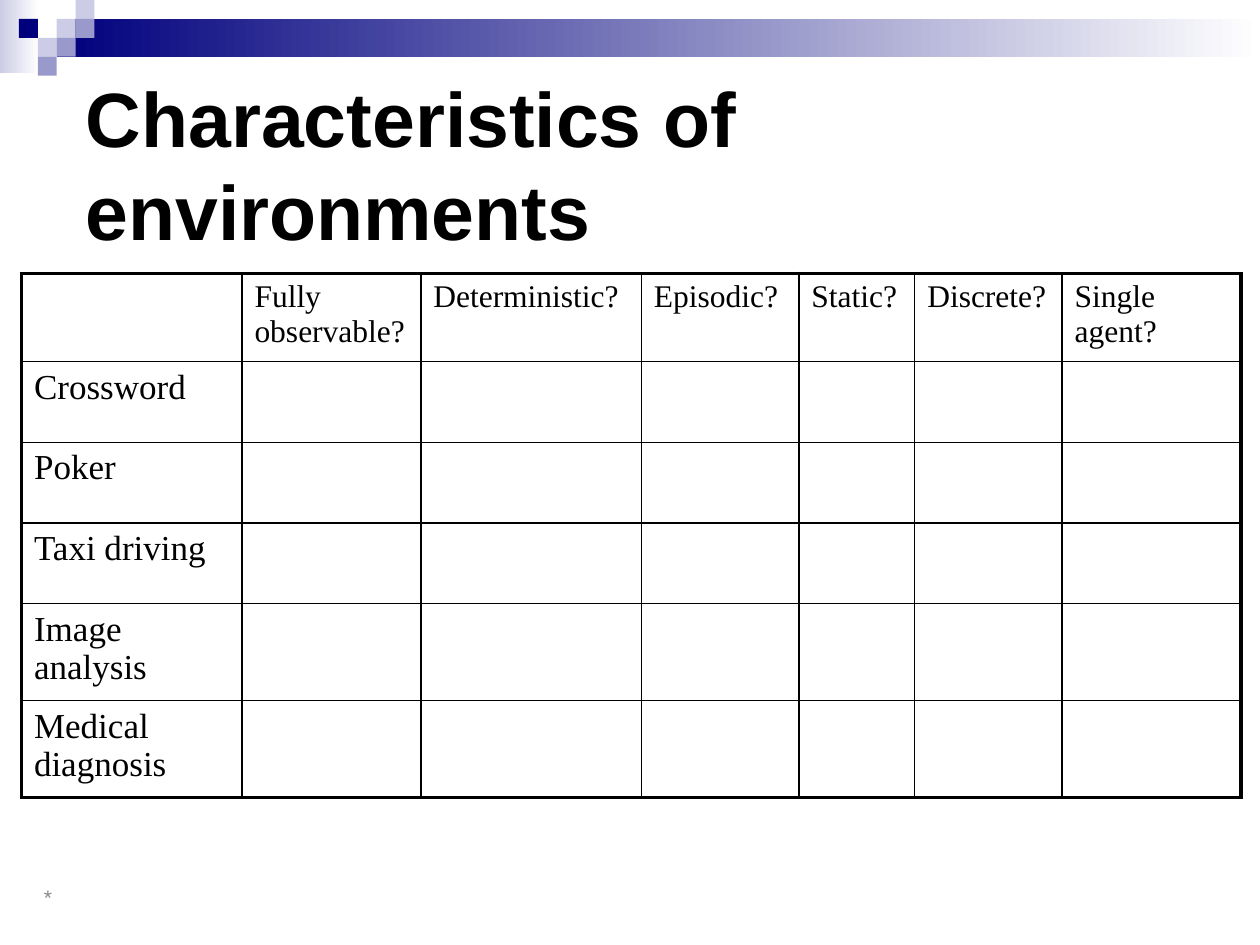
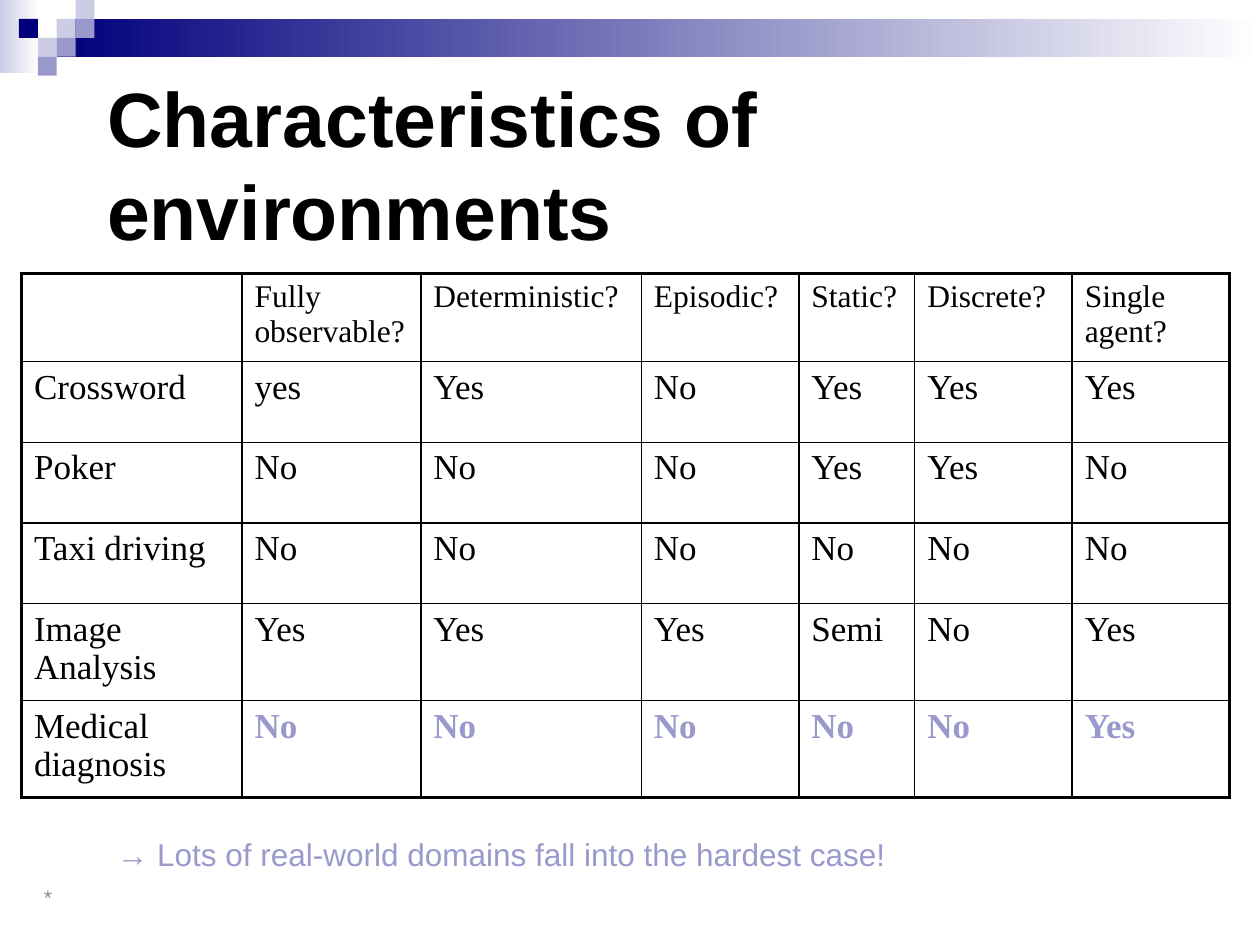
from lxml import etree
from pptx import Presentation
from pptx.dml.color import RGBColor
from pptx.enum.shapes import MSO_SHAPE
from pptx.enum.text import MSO_ANCHOR, MSO_AUTO_SIZE, PP_ALIGN
from pptx.oxml.ns import qn
from pptx.util import Inches, Pt

RECT = MSO_SHAPE.RECTANGLE
MIDDLE = MSO_ANCHOR.MIDDLE
TOP = MSO_ANCHOR.TOP
LEFT = PP_ALIGN.LEFT
NO_AUTOFIT = MSO_AUTO_SIZE.NONE

WIDTH, HEIGHT = 10, 7.5
UNIT = 0.15
NAVY, LILAC, PALE = "00007D", "9999CC", "CCCCE6"
BLACK, WHITE, GREY = "000000", "FFFFFF", "898989"
SANS, SERIF = "Arial", "Times New Roman"
THICK, THIN = 2.25, 1

SQUARES = {
    PALE: [(3, 1), (4, 0), (2, 2)],
    LILAC: [(4, 1), (3, 2), (2, 3)],
    NAVY: [(1, 1)],
}
HEADINGS = ["", "Fully observable?", "Deterministic?", "Episodic?",
            "Static?", "Discrete?", "Single agent?"]
FIRST_COLS = [1.75, 1.42, 1.75, 1.25, 0.92]
ROW_HEIGHTS = [0.7, 0.64, 0.64, 0.64, 0.77, 0.77]
TASKS = ["Crossword", "Poker", "Taxi driving", "Image analysis", "Medical diagnosis"]
ANSWERS = [
    ["Crossword", "yes", "Yes", "No", "Yes", "Yes", "Yes"],
    ["Poker", "No", "No", "No", "Yes", "Yes", "No"],
    ["Taxi driving", "No", "No", "No", "No", "No", "No"],
    ["Image Analysis", "Yes", "Yes", "Yes", "Semi", "No", "Yes"],
    ["Medical diagnosis", "No", "No", "No", "No", "No", "Yes"],
]


def rgb(color):
    return RGBColor.from_string(color)


def box(*lengths):
    return [Inches(v) for v in lengths]


def style_text(tf, font, size, color, bold=False):
    for p in tf.paragraphs:
        p.alignment = LEFT
        for r in p.runs:
            r.font.name = font
            r.font.size = Pt(size)
            r.font.bold = bold
            r.font.color.rgb = rgb(color)


def add_rect(s, at, *colors):
    sp = s.shapes.add_shape(RECT, *box(*at))
    sp.shadow.inherit = False
    sp.line.fill.background()
    if len(colors) == 1:
        sp.fill.solid()
        sp.fill.fore_color.rgb = rgb(colors[0])
    else:
        sp.fill.gradient()
        sp.fill.gradient_angle = 0
        for stop, color in zip(sp.fill.gradient_stops, colors):
            stop.color.rgb = rgb(color)


def add_text(s, text, at, size, color, anchor=TOP):
    tf = s.shapes.add_textbox(*box(*at)).text_frame
    tf.word_wrap = True
    tf.vertical_anchor = anchor
    tf.text = text
    style_text(tf, SANS, size, color)


def add_band(s):
    add_rect(s, (0, 0, 0.31, 0.58), PALE, WHITE)
    add_rect(s, (3 * UNIT, UNIT, WIDTH - 3 * UNIT, 2 * UNIT), NAVY, WHITE)
    for color, places in SQUARES.items():
        for col, row in places:
            add_rect(s, (col * UNIT, row * UNIT, UNIT, UNIT), color)


def set_title(s, text, margin):
    title = s.shapes.title
    title.left, title.top, title.width, title.height = box(
        margin, 0.67, WIDTH - 2 * margin, 1.25)
    tf = title.text_frame
    tf.auto_size = NO_AUTOFIT
    tf.vertical_anchor = MIDDLE
    tf.text = text
    style_text(tf, SANS, 44, BLACK, bold=True)


def add_slide(prs, title, margin):
    s = prs.slides.add_slide(prs.slide_layouts[5])
    add_band(s)
    add_text(s, "*", (0.25, 6.92, 3.17, 0.4), 12, GREY, MIDDLE)
    set_title(s, title, margin)
    return s


def set_borders(cell, widths):
    tc_pr = cell._tc.get_or_add_tcPr()
    for i, (side, width) in enumerate(widths.items()):
        ln = etree.Element(qn("a:ln" + side), w=str(Pt(width)))
        fill = etree.SubElement(ln, qn("a:solidFill"))
        etree.SubElement(fill, qn("a:srgbClr"), val=BLACK)
        tc_pr.insert(i, ln)


def add_grid(s, rows, last_cols, accent_row=None):
    cols = FIRST_COLS + last_cols
    n_rows, n_cols = len(rows), len(cols)
    table = s.shapes.add_table(
        n_rows, n_cols, *box(0.17, 2.17, sum(cols), sum(ROW_HEIGHTS))).table
    table.first_row = table.horz_banding = False
    for column, width in zip(table.columns, cols):
        column.width = Inches(width)
    for row, height in zip(table.rows, ROW_HEIGHTS):
        row.height = Inches(height)
    for i, texts in enumerate(rows):
        for j, text in enumerate(texts):
            cell = table.cell(i, j)
            cell.fill.background()
            set_borders(cell, {
                "L": THICK if j == 0 else THIN,
                "R": THICK if j == n_cols - 1 else THIN,
                "T": THICK if i == 0 else THIN,
                "B": THICK if i == n_rows - 1 else THIN,
            })
            if text:
                cell.text_frame.text = text
                accent = i == accent_row and j > 0
                style_text(cell.text_frame, SERIF, 18 if i == 0 else 20,
                           LILAC if accent else BLACK, accent)


def main():
    prs = Presentation()
    prs.slide_width, prs.slide_height = box(WIDTH, HEIGHT)
    title = "Characteristics of environments"

    s = add_slide(prs, title, 0.58)
    blanks = [""] * (len(HEADINGS) - 1)
    add_grid(s, [HEADINGS] + [[task] + blanks for task in TASKS], [1.17, 1.42])

    s = add_slide(prs, title, 0.75)
    add_grid(s, [HEADINGS] + ANSWERS, [1.25, 1.25], accent_row=len(ANSWERS))
    add_text(s, "→ Lots of real-world domains fall into the hardest case!",
             (0.83, 6.58, 8.42, 0.5), 18, LILAC)

    prs.save("out.pptx")


if __name__ == "__main__":
    main()
